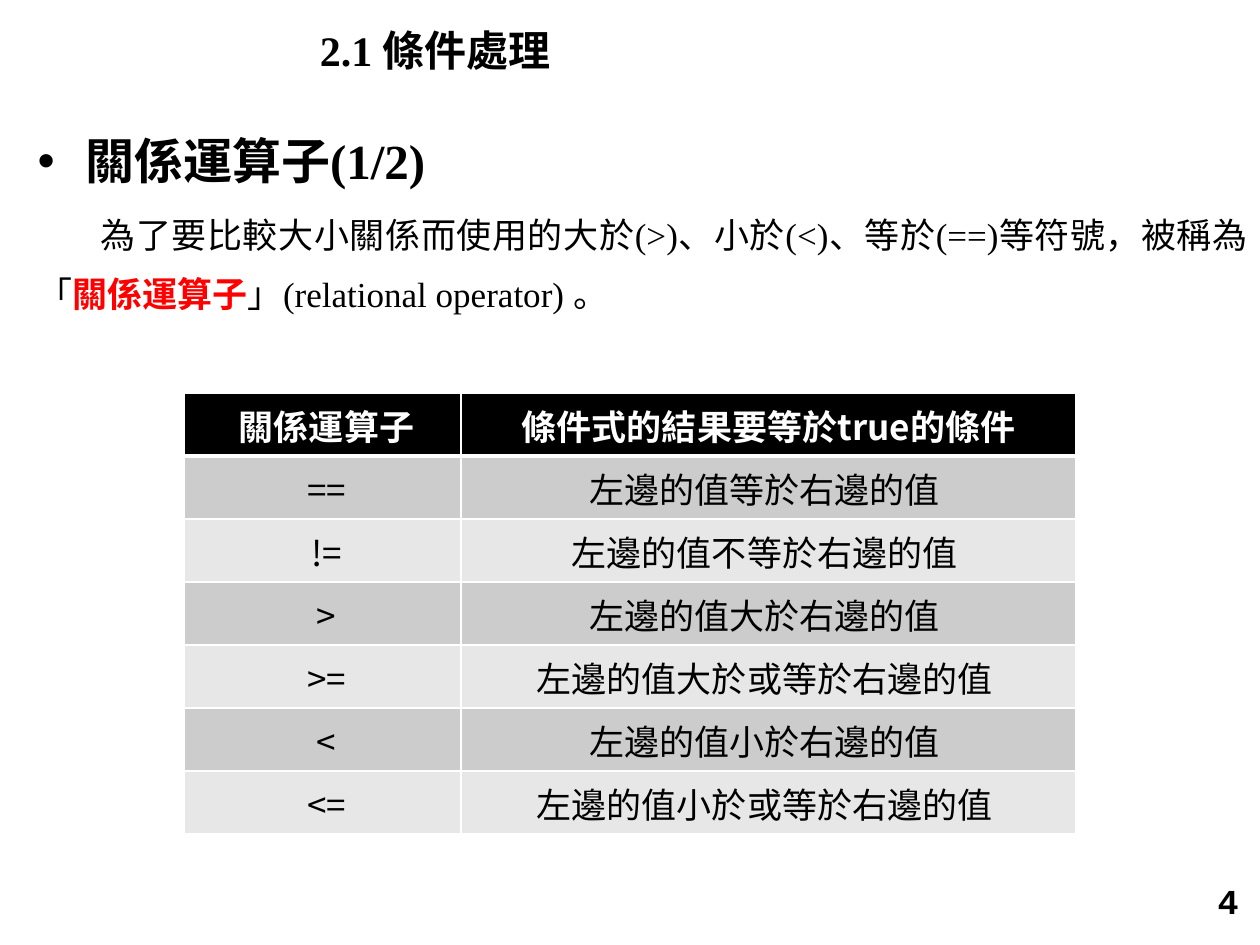
from lxml import etree
from pptx import Presentation
from pptx import util as u
from pptx.dml.color import RGBColor
from pptx.enum import text as t
from pptx.oxml import ns

BLACK = RGBColor(0, 0, 0)
WHITE = RGBColor(255, 255, 255)
RED = RGBColor(255, 0, 0)
BANDS = (RGBColor(0xCC, 0xCC, 0xCC), RGBColor(0xE7, 0xE7, 0xE7))
SANS, SERIF, MONO = "Noto Sans CJK SC", "Times New Roman", "Courier New"

COLUMN_WIDTHS = (2.2, 4.88)
ROW_HEIGHT = 0.5
HEADER = (" 關係運算子", "條件式的結果要等於true的條件")
OPERATORS = (
    ("==", "等於"),
    ("!=", "不等於"),
    (">", "大於"),
    (">=", "大於或等於"),
    ("<", "小於"),
    ("<=", "小於或等於"),
)


def add_child(parent, tag, **attributes):
    return etree.SubElement(parent, ns.qn(tag), attributes)


def add_span(para, words, size=20, font=SERIF, color=BLACK, bold=False):
    """Add formatted words, with the sans font for East Asian letters."""
    span = para.add_run()
    span.text = words
    span.font.size = u.Pt(size)
    span.font.name = font
    span.font.bold = bold
    span.font.color.rgb = color
    add_child(span.font._element, "a:ea", typeface=SANS)


def add_box(page, left, top, width, height, anchor=t.MSO_ANCHOR.TOP):
    box = page.shapes.add_textbox(*map(u.Inches, (left, top, width, height)))
    frame = box.text_frame
    frame.word_wrap = True
    frame.vertical_anchor = anchor
    return frame


def set_layout(para, size, margin, indent, bullet=None):
    """Justify a body paragraph and set its spacing, indent and bullet."""
    para.alignment = t.PP_ALIGN.JUSTIFY
    para.line_spacing = u.Pt(33.6)
    para.space_before = u.Pt(size * 0.2)
    props = para._p.get_or_add_pPr()
    props.set("marL", str(u.Inches(margin)))
    props.set("indent", str(u.Inches(indent)))
    if bullet:
        add_child(props, "a:buFont", typeface="Arial")
        add_child(props, "a:buChar", char=bullet)


def add_body(page):
    frame = add_box(page, 0.2, 0.99, 9.8, 6.51)
    heading = frame.paragraphs[0]
    set_layout(heading, 28, 0.38, -0.38, "•")
    add_span(heading, "關係運算子(1/2)", size=28, bold=True)

    para = frame.add_paragraph()
    set_layout(para, 20, 0, 0.5)
    add_span(para, "為了要比較大小關係而使用的大於(>)、小於(<)、等於(==)等符號，被稱為「")
    add_span(para, "關係運算子", color=RED, bold=True)
    add_span(para, "」(relational operator) 。")


def set_borders(cell, bottom):
    props = cell._tc.get_or_add_tcPr()
    for side, width in (("L", 1), ("R", 1), ("T", 1), ("B", bottom)):
        line = add_child(props, f"a:ln{side}", w=str(u.Pt(width)))
        add_child(add_child(line, "a:solidFill"), "a:srgbClr", val=str(WHITE))


def fill_cell(cell, words, fill, color=BLACK, bold=False, bottom=1):
    set_borders(cell, bottom)
    cell.fill.solid()
    cell.fill.fore_color.rgb = fill
    para = cell.text_frame.paragraphs[0]
    para.alignment = t.PP_ALIGN.CENTER
    add_span(para, words, font=SANS, color=color, bold=bold)


def add_operator_table(page):
    count = len(OPERATORS) + 1
    size = (sum(COLUMN_WIDTHS), count * ROW_HEIGHT)
    table = page.shapes.add_table(
        count, len(COLUMN_WIDTHS), *map(u.Inches, (1.46, 3.12, *size))
    ).table
    for column, width in zip(table.columns, COLUMN_WIDTHS):
        column.width = u.Inches(width)
    for column, words in enumerate(HEADER):
        fill_cell(table.cell(0, column), words, BLACK, WHITE, bold=True, bottom=3)
    for row, (sign, relation) in enumerate(OPERATORS, start=1):
        band = BANDS[(row - 1) % 2]
        fill_cell(table.cell(row, 0), f" {sign}", band)
        fill_cell(table.cell(row, 1), f"左邊的值{relation}右邊的值 ", band)


def main():
    deck = Presentation()
    deck.slide_width, deck.slide_height = u.Inches(10), u.Inches(7.5)
    page = deck.slides.add_slide(deck.slide_layouts[6])

    title = add_box(page, 2.44, 0, 7.56, 0.79, t.MSO_ANCHOR.MIDDLE).paragraphs[0]
    add_span(title, "2.1 ", size=24, bold=True)
    add_span(title, "條件處理", size=24, font=SANS, bold=True)
    add_body(page)
    number = add_box(page, 7.6, 6.93, 2.33, 0.52).paragraphs[0]
    number.alignment = t.PP_ALIGN.RIGHT
    add_span(number, "4", font=MONO, bold=True)
    add_operator_table(page)
    deck.save("out.pptx")


if __name__ == "__main__":
    main()
